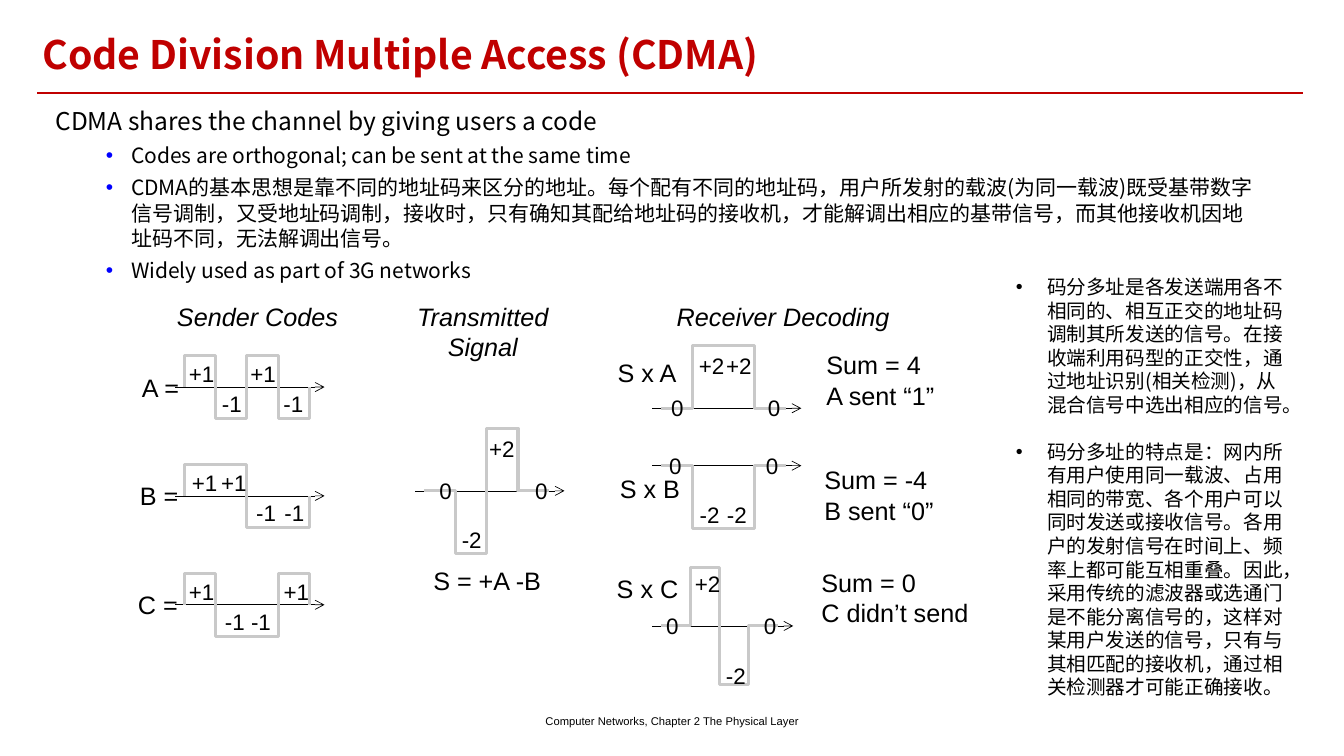
import pptx
import pptx.dml.color
import pptx.enum.shapes
import pptx.enum.text
import pptx.oxml
import pptx.oxml.ns
import pptx.util
from lxml import etree

Inches = pptx.util.Inches
Pt = pptx.util.Pt
RGBColor = pptx.dml.color.RGBColor
ALIGN = pptx.enum.text.PP_ALIGN
MIDDLE = pptx.enum.text.MSO_ANCHOR.MIDDLE
qn = pptx.oxml.ns.qn

RED = RGBColor(0xC0, 0x00, 0x00)
BLACK = RGBColor(0x00, 0x00, 0x00)
GRAY = RGBColor(0xC9, 0xC9, 0xC9)
BLUE = RGBColor(0x00, 0x00, 0xFF)
CJK_FONT = "Noto Sans CJK SC"


def add_label(text, left, top, width, height, size=18, align=ALIGN.LEFT, italic=False):
    """Add a non-wrapping Arial label, one paragraph per line of text."""
    box = slide.shapes.add_textbox(Inches(left), Inches(top), Inches(width), Inches(height))
    box.text_frame.word_wrap = False
    box.text_frame.text = text
    for paragraph in box.text_frame.paragraphs:
        paragraph.alignment = align
        for run in paragraph.runs:
            run.font.name = "Arial"
            run.font.size = Pt(size)
            run.font.italic = italic
            run.font.color.rgb = BLACK
    return box


def format_cjk(paragraph, size, color, indent=0, hanging=0, bullet_color=None, bold=False):
    """Set indent, bullet and the font for both Latin and Chinese letters."""
    properties = paragraph._p.get_or_add_pPr()
    properties.set("marL", str(Inches(indent)))
    properties.set("indent", str(-Inches(hanging)))
    if bullet_color is None:
        etree.SubElement(properties, qn("a:buNone"))
    else:
        bullet_fill = etree.SubElement(properties, qn("a:buClr"))
        etree.SubElement(bullet_fill, qn("a:srgbClr"), val=str(bullet_color))
        etree.SubElement(properties, qn("a:buFont"), typeface="Arial")
        etree.SubElement(properties, qn("a:buChar"), char="•")
    paragraph.alignment = ALIGN.LEFT
    for run in paragraph.runs:
        run.font.size = Pt(size)
        run.font.bold = bold
        run.font.color.rgb = color
        run.font.name = CJK_FONT
        etree.SubElement(run.font._element, qn("a:ea"), typeface=CJK_FONT)


presentation = pptx.Presentation()
presentation.slide_width = Inches(40 / 3)
presentation.slide_height = Inches(7.5)
slide = presentation.slides.add_slide(presentation.slide_layouts[1])

# Title and the rule below it
title = slide.shapes.title
title.left, title.top, title.width, title.height = map(Inches, (0.32, 0.3, 12.23, 0.53))
title.text_frame.text = "Code Division Multiple Access (CDMA)"
title.text_frame.vertical_anchor = MIDDLE
title.text_frame.auto_size = pptx.enum.text.MSO_AUTO_SIZE.NONE
title.text_frame.paragraphs[0].line_spacing = 0.9
format_cjk(title.text_frame.paragraphs[0], 28, RED, bold=True)

STRAIGHT = pptx.enum.shapes.MSO_CONNECTOR.STRAIGHT
rule = slide.shapes.add_connector(STRAIGHT, Inches(0.37), Inches(0.92), Inches(12.93), Inches(0.92))
rule.line.color.rgb = RED
rule.line.width = Pt(1.5)
etree.SubElement(rule._element.spPr, qn("a:effectLst"))

# Body list
body = slide.placeholders[1]
body.left, body.top, body.width, body.height = map(Inches, (0.45, 1, 12.17, 1.87))
body.text_frame.auto_size = pptx.enum.text.MSO_AUTO_SIZE.NONE
body.text_frame.text = "\n".join([
    "CDMA shares the channel by giving users a code",
    "Codes are orthogonal; can be sent at the same time",
    "CDMA的基本思想是靠不同的地址码来区分的地址。每个配有不同的地址码，用户所发射的载波(为同一载波)"
    "既受基带数字信号调制，又受地址码调制，接收时，只有确知其配给地址码的接收机，才能解调出相应的基带信号，"
    "而其他接收机因地址码不同，无法解调出信号。",
    "Widely used as part of 3G networks",
])
lead, *points = body.text_frame.paragraphs
lead.space_before = Pt(0)
lead.line_spacing = Pt(21)
format_cjk(lead, 17.5, BLACK, 0.25, 0.25)
for point in points:
    point.level = 1
    point.space_before = Pt(5)
    point.line_spacing = Pt(18.1)
    format_cjk(point, 15, BLACK, 0.75, 0.25, BLUE)

# Waveforms: name, name box (left, top, width), start, baseline, chip, levels, label centres
SENDER, SIGNAL, RECEIVER = 1.83, 4.21, 6.56
FIRST_ROW, ROW = 3.84, 1.08
CHIP, NARROW_CHIP = 0.31, 0.29
waveforms = [
    ("A =", (1.31, 3.64, 0.57), SENDER, FIRST_ROW, CHIP, (1, -1, 1, -1), (2, 2.3, 2.61, 2.91)),
    ("B =", (1.29, 4.72, 0.59), SENDER, FIRST_ROW + ROW, CHIP, (1, 1, -1, -1), (2.03, 2.32, 2.64, 2.92)),
    ("C =", (1.27, 5.8, 0.6), SENDER, FIRST_ROW + 2 * ROW, CHIP, (1, -1, -1, 1), (2, 2.33, 2.59, 2.94)),
    ("S = +A -B", (4.2, 5.56, 1.28), SIGNAL, 4.87, CHIP, (0, -2, 2, 0), (4.42, 4.68, 4.98, 5.37)),
    ("S x A", (6.03, 3.5, 0.79), RECEIVER, 4.05, CHIP, (0, 2, 2, 0), (6.72, 7.06, 7.33, 7.68)),
    ("S x B", (6.05, 4.65, 0.81), RECEIVER, 4.62, CHIP, (0, -2, -2, 0), (6.7, 7.04, 7.31, 7.66)),
    ("S x C", (6.02, 5.64, 0.82), RECEIVER, 6.21, NARROW_CHIP, (0, 2, -2, 0), (6.67, 7.02, 7.3, 7.64)),
]
LABEL_DROP = {2: -0.42, 1: -0.13, 0: 0, -1: 0.17, -2: 0.49}
LABEL_HEIGHT = 0.37

for name, name_box, start, baseline, chip, levels, centres in waveforms:
    add_label(name, *name_box, 0.4)

    end = start + len(levels) * chip
    axis = slide.shapes.add_connector(
        STRAIGHT, Inches(start - 0.09), Inches(baseline), Inches(end + 0.15), Inches(baseline))
    axis.line.color.rgb = BLACK
    axis.line.width = Pt(0.5)
    etree.SubElement(axis.line._get_or_add_ln(), qn("a:tailEnd"), type="arrow")
    etree.SubElement(axis._element.spPr, qn("a:effectLst"))

    corners = []
    for index, level in enumerate(levels):
        height = Inches(baseline - level * chip)
        corners += [(Inches(start + step * chip), height) for step in (index, index + 1)]
    corners.append((Inches(end), Inches(baseline)))
    builder = slide.shapes.build_freeform(Inches(start), Inches(baseline))
    builder.add_line_segments(corners, close=False)
    wave = builder.convert_to_shape()
    wave.shadow.inherit = False
    wave.fill.background()
    wave.line.color.rgb = GRAY
    wave.line.width = Pt(2.25)

    for level, centre in reversed(list(zip(levels, centres))):
        text = f"{level:+d}" if level else "0"
        width = 0.46 if level else 0.33
        add_label(text, centre - width / 2, baseline + LABEL_DROP[level] - LABEL_HEIGHT / 2,
                  width, LABEL_HEIGHT, 16, ALIGN.CENTER)

# Decoding results
for text, left, top, width in [
    ("Sum = 4\nA sent “1”", 8.1, 3.42, 1.29),
    ("Sum = -4\nB sent “0”", 8.08, 4.56, 1.3),
    ("Sum = 0\nC didn’t send", 8.05, 5.58, 1.68),
]:
    add_label(text, left, top, width, 0.71)

# Column headings
for text, left, width, height in [
    ("Sender Codes", 1.65, 1.81, 0.4),
    ("Transmitted\nSignal", 4.03, 1.52, 0.71),
    ("Receiver Decoding", 6.6, 2.34, 0.4),
]:
    add_label(text, left, 2.94, width, height, align=ALIGN.CENTER, italic=True)

# Notes on the right
notes = slide.shapes.add_textbox(Inches(9.98), Inches(2.68), Inches(2.88), Inches(4.34))
notes.text_frame.word_wrap = True
notes.text_frame.text = "\n".join([
    "码分多址是各发送端用各不相同的、相互正交的地址码调制其所发送的信号。"
    "在接收端利用码型的正交性，通过地址识别(相关检测)，从混合信号中选出相应的信号。",
    "码分多址的特点是：网内所有用户使用同一载波、占用相同的带宽、各个用户可以同时发送或接收信号。"
    "各用户的发射信号在时间上、频率上都可能互相重叠。因此，采用传统的滤波器或选通门是不能分离信号的，"
    "这样对某用户发送的信号，只有与其相匹配的接收机，通过相关检测器才可能正确接收。",
])
for paragraph, gap in zip(notes.text_frame.paragraphs, (0, 16.8)):
    paragraph.space_before = Pt(gap)
    paragraph.line_spacing = Pt(16.8)
    format_cjk(paragraph, 14, BLACK, 0.31, 0.31, BLACK)

footer = add_label("Computer Networks, Chapter 2 The Physical Layer", 4.42, 6.95, 4.5, 0.4, 8, ALIGN.CENTER)
footer.text_frame.vertical_anchor = MIDDLE

presentation.save("out.pptx")
